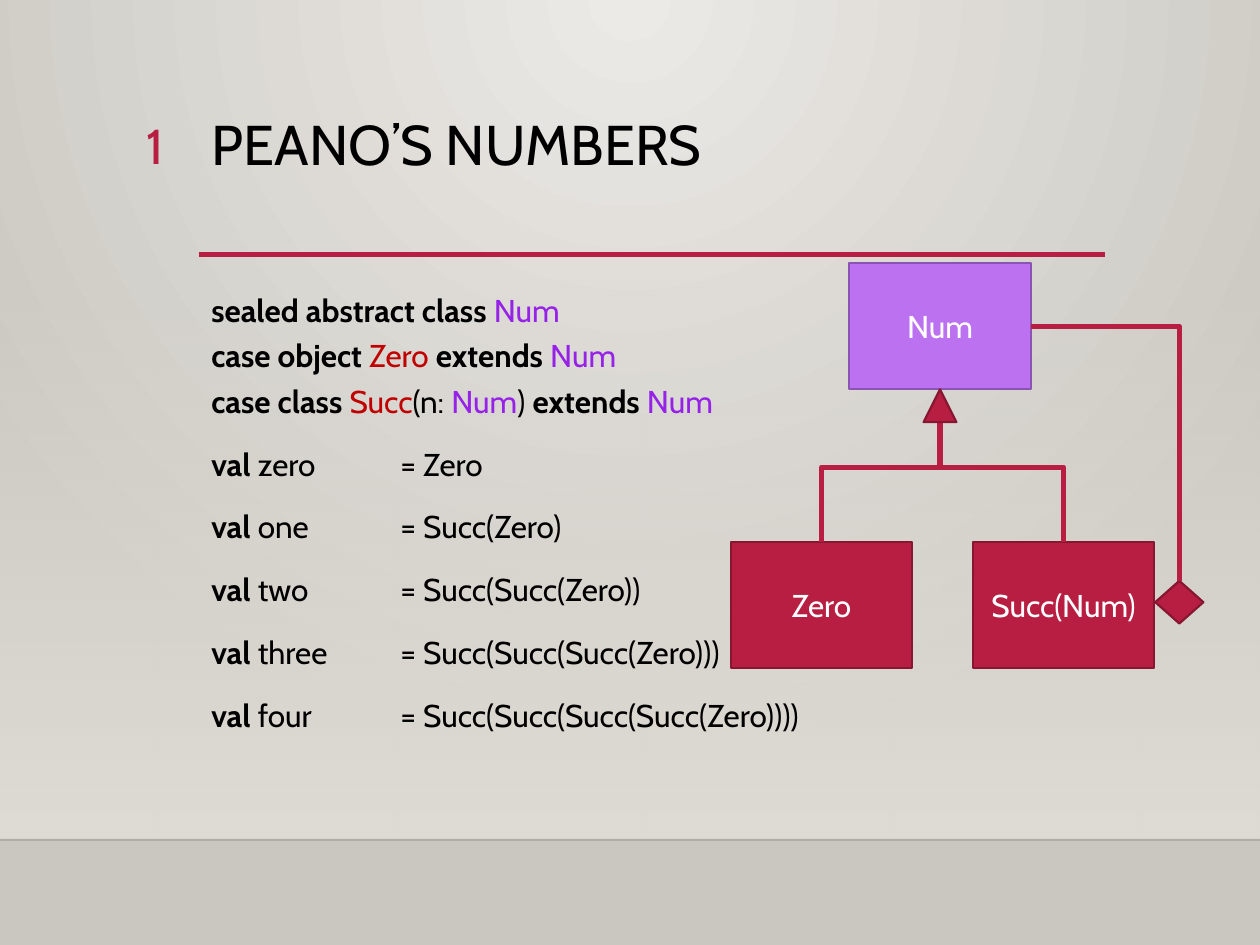
from lxml import etree
from pptx import Presentation
from pptx import util as u
from pptx.dml.color import RGBColor
from pptx.enum import shapes, text
from pptx.oxml import parse_xml
from pptx.oxml.ns import nsdecls, qn

FONT = "Cabin"
COLORS = {
    "black": "000000", "white": "FFFFFF", "accent": "B71E42", "edge": "871631",
    "num": "9622E7", "case": "C00000", "lilac": "BC72F0", "lilac_edge": "8B54B2",
    "glow": "ECEAE7", "ground": "CAC7C1", "floor": "DFDBD5",
}
DECLARATIONS = [
    [("sealed abstract class ", "black", True), ("Num", "num", False)],
    [("case object ", "black", True), ("Zero ", "case", False),
     ("extends ", "black", True), ("Num", "num", False)],
    [("case class ", "black", True), ("Succ", "case", False), ("(n: ", "black", False),
     ("Num", "num", False), (") ", "black", False), ("extends ", "black", True),
     ("Num", "num", False)],
]
NUMBERS = ["zero", "one", "two", "three", "four"]


def color(name):
    return RGBColor.from_string(COLORS[name])


def add_run(paragraph, words, size=18, fill="black", bold=False):
    run = paragraph.add_run()
    run.text = words
    run.font.name = FONT
    run.font.size = u.Pt(size)
    run.font.bold = bold
    run.font.color.rgb = color(fill)


def add_text(slide, box, words, align=text.PP_ALIGN.LEFT, **style):
    frame = slide.shapes.add_textbox(*map(u.Cm, box)).text_frame
    frame.word_wrap = True
    frame.paragraphs[0].alignment = align
    add_run(frame.paragraphs[0], words, **style)


def add_block(slide, preset, box, fill="accent", edge="edge", words=""):
    shape = slide.shapes.add_shape(preset, *map(u.Cm, box))
    shape.shadow.inherit = False
    shape.fill.solid()
    shape.fill.fore_color.rgb = color(fill)
    shape.line.color.rgb = color(edge)
    shape.line.width = u.Pt(1.25)
    if words:
        frame = shape.text_frame
        frame.vertical_anchor = text.MSO_ANCHOR.MIDDLE
        frame.paragraphs[0].alignment = text.PP_ALIGN.CENTER
        add_run(frame.paragraphs[0], words, fill="white")


def add_line(slide, start, end, width, fill="accent", kind=shapes.MSO_CONNECTOR.STRAIGHT):
    line = slide.shapes.add_connector(kind, *map(u.Cm, (*start, *end)))
    line.line.color.rgb = color(fill)
    line.line.width = u.Pt(width)
    etree.SubElement(line._element.spPr, qn("a:effectLst"))
    return line


def add_rising_elbow(slide, start, end, preset):
    middle_x, middle_y = (start[0] + end[0]) / 2, (start[1] + end[1]) / 2
    half_width, half_height = abs(end[1] - start[1]) / 2, abs(end[0] - start[0]) / 2
    rightward = end[0] > start[0]
    side = half_width if rightward else -half_width
    line = add_line(slide, (middle_x + side, middle_y + half_height),
                    (middle_x - side, middle_y - half_height), 3,
                    kind=shapes.MSO_CONNECTOR.ELBOW)
    properties = line._element.spPr
    properties.find(qn("a:xfrm")).set("rot", str((90 if rightward else 270) * 60000))
    properties.find(qn("a:prstGeom")).set("prst", preset)


def build_backdrop(slide, box):
    left, top, width, height = box
    slide.background.fill.solid()
    background = slide._element.cSld.find(qn("p:bg")).find(qn("p:bgPr"))
    background.replace(background[0], parse_xml(
        f'<a:gradFill {nsdecls("a")} rotWithShape="1"><a:gsLst>'
        f'<a:gs pos="0"><a:srgbClr val="{COLORS["glow"]}"/></a:gs>'
        f'<a:gs pos="100000"><a:srgbClr val="{COLORS["ground"]}"/></a:gs></a:gsLst>'
        '<a:path path="circle"><a:fillToRect l="43000" t="0" r="43000" b="100000"/></a:path>'
        '</a:gradFill>'))
    haze = slide.shapes.add_shape(shapes.MSO_SHAPE.RECTANGLE, *map(u.Cm, box))
    haze.shadow.inherit = False
    haze.line.fill.background()
    haze.fill.gradient()
    haze.fill.gradient_angle = 270
    for stop, position in zip(haze.fill.gradient_stops, (0, 1)):
        stop.color.rgb = color("floor")
        stop.position = position
    clear = next(haze._element.spPr.iter(qn("a:srgbClr")))
    etree.SubElement(clear, qn("a:alpha"), val="0")
    horizon = add_line(slide, (left, top + height), (left + width, top + height), 1, "black")
    shade = next(horizon._element.spPr.iter(qn("a:srgbClr")))
    etree.SubElement(shade, qn("a:alpha"), val="20000")


def build_heading(slide, box, words, number):
    left, top, width, height = box
    title = slide.shapes.title
    title.left, title.top, title.width, title.height = map(u.Cm, box)
    frame = title.text_frame
    frame.vertical_anchor = text.MSO_ANCHOR.TOP
    paragraph = frame.paragraphs[0]
    paragraph.alignment = text.PP_ALIGN.LEFT
    paragraph.line_spacing = 0.9
    add_run(paragraph, words, size=32)
    add_text(slide, (left - 2.66, top - 0.03, 2.21, 1.4), number,
             align=text.PP_ALIGN.RIGHT, size=28, fill="accent")
    rule_y = top + height - 0.03
    add_line(slide, (left, rule_y), (left + width, rule_y), 2.5)


def build_code(slide, box):
    frame = slide.shapes.add_textbox(*map(u.Cm, box)).text_frame
    frame.word_wrap = True
    paragraph = frame.paragraphs[0]
    paragraph.line_spacing = 1.2
    for index, line in enumerate(DECLARATIONS):
        if index:
            paragraph.add_line_break()
        for words, fill, bold in line:
            add_run(paragraph, words, fill=fill, bold=bold)
    value = "Zero"
    for name in NUMBERS:
        paragraph = frame.add_paragraph()
        tabs = etree.SubElement(paragraph._p.get_or_add_pPr(), qn("a:tabLst"))
        etree.SubElement(tabs, qn("a:tab"), pos=str(u.Cm(3.81)), algn="l")
        paragraph.line_spacing = 1.2
        paragraph.space_before = u.Pt(10)
        add_run(paragraph, "val", bold=True)
        add_run(paragraph, f" {name}\t= {value}")
        value = f"Succ({value})"


def build_diagram(slide, box):
    left, top, width, height = box
    block_width, block_height = 3.66, 2.54
    lower = top + height - block_height
    succ_left = left + 4.88
    num_left = left + 2.39
    center = num_left + block_width / 2
    diamond_width, diamond_height = 0.97, 0.86
    diamond_left, diamond_top = left + width - diamond_width, lower + 0.79
    joint = top + 2.61
    rectangle = shapes.MSO_SHAPE.RECTANGLE
    add_block(slide, rectangle, (num_left, top, block_width, block_height),
              "lilac", "lilac_edge", "Num")
    for words, x in (("Zero", left), ("Succ(Num)", succ_left)):
        add_block(slide, rectangle, (x, lower, block_width, block_height), words=words)
    add_rising_elbow(slide, (left + block_width / 2, lower), (center, joint), "bentConnector3")
    add_rising_elbow(slide, (succ_left + block_width / 2, lower),
                     (center, (lower + joint) / 2), "bentConnector2")
    add_block(slide, shapes.MSO_SHAPE.ISOSCELES_TRIANGLE,
              (center - 0.33, top + block_height, 0.66, 0.66))
    add_block(slide, shapes.MSO_SHAPE.DIAMOND,
              (diamond_left, diamond_top, diamond_width, diamond_height))
    add_rising_elbow(slide, (diamond_left + diamond_width / 2, diamond_top),
                     (num_left + block_width, top + block_height / 2), "bentConnector2")


def main():
    presentation = Presentation()
    presentation.slide_width, presentation.slide_height = u.Cm(25.4), u.Cm(19.05)
    slide = presentation.slides.add_slide(presentation.slide_layouts[5])
    build_backdrop(slide, (0, 5.59, 25.4, 11.34))
    build_heading(slide, (4.01, 2.24, 18.26, 2.92), "PEANO’S NUMBERS", "1")
    build_code(slide, (4.01, 5.59, 19.28, 11))
    build_diagram(slide, (14.73, 5.31, 9.53, 8.15))
    presentation.save("out.pptx")


if __name__ == "__main__":
    main()
